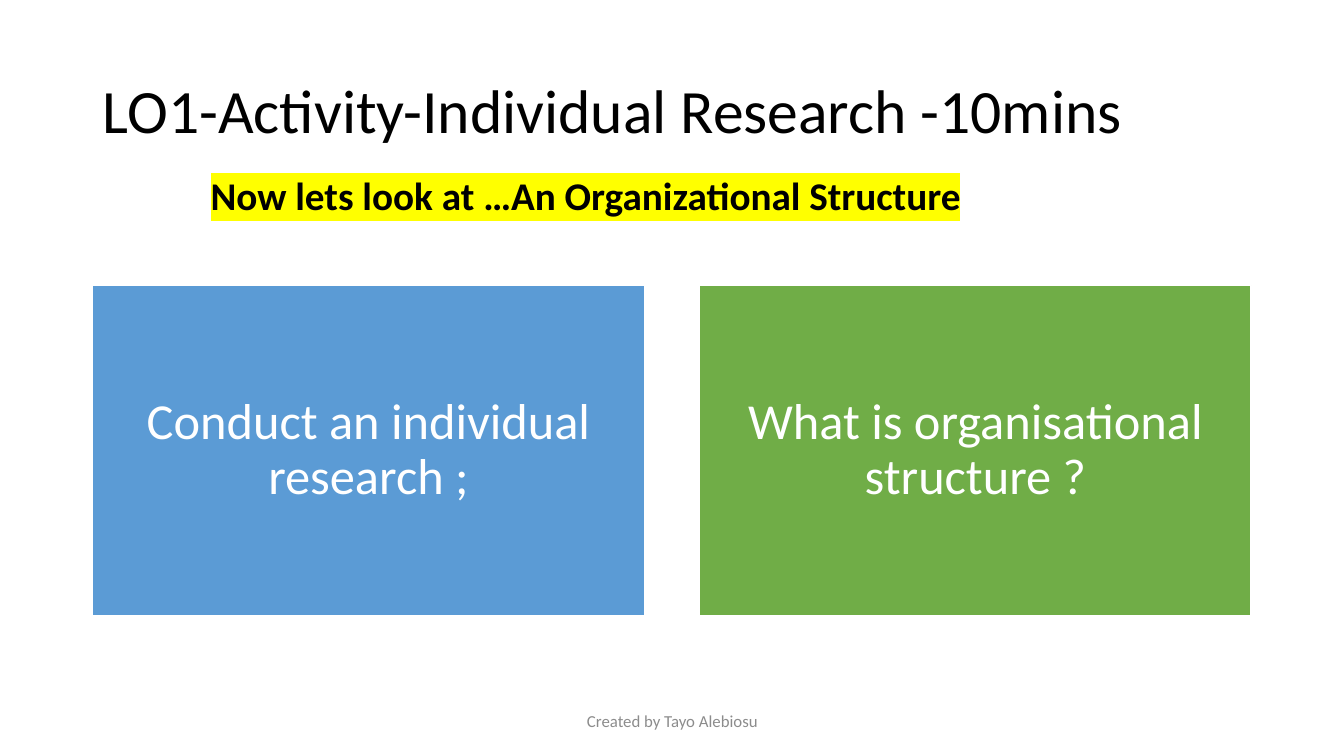
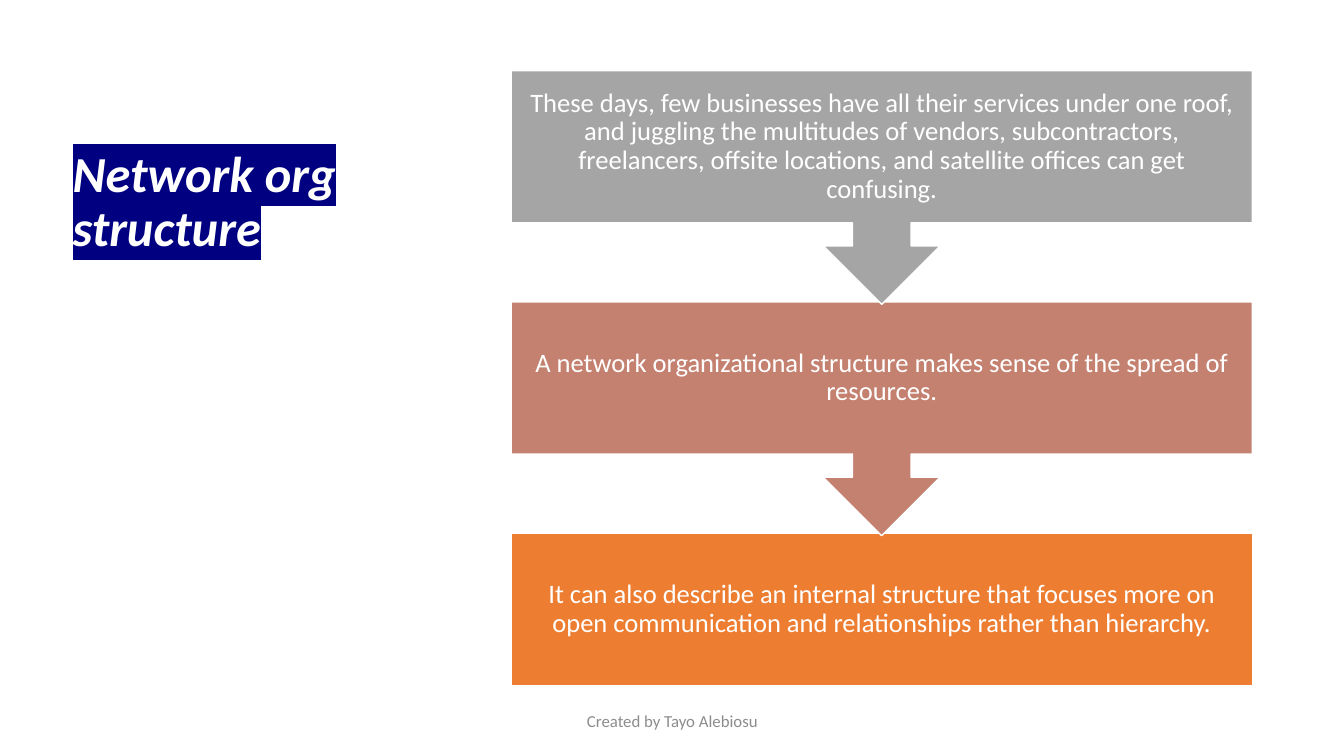
from lxml import etree
from pptx import Presentation
from pptx import util as u
from pptx.dml.color import RGBColor
from pptx.enum import shapes, text
from pptx.oxml.ns import qn

FONT = "Calibri"
BLACK = RGBColor(0x00, 0x00, 0x00)
WHITE = RGBColor(0xFF, 0xFF, 0xFF)
FOOTER_GRAY = RGBColor(0x8C, 0x8C, 0x8C)
BLUE = RGBColor(0x5B, 0x9B, 0xD5)
GREEN = RGBColor(0x70, 0xAD, 0x47)
GRAY = RGBColor(0xA5, 0xA5, 0xA5)
ROSE = RGBColor(0xC4, 0x81, 0x70)
ORANGE = RGBColor(0xED, 0x7D, 0x31)
YELLOW = RGBColor(0xFF, 0xFF, 0x00)
NAVY = RGBColor(0x00, 0x00, 0x80)

TITLE_ONLY = 5
LEFT, CENTER = text.PP_ALIGN.LEFT, text.PP_ALIGN.CENTER
MIDDLE, TOP = text.MSO_ANCHOR.MIDDLE, text.MSO_ANCHOR.TOP


def inches(box):
    return [u.Inches(length) for length in box]


def write(shape, wording, size, color, align=LEFT, anchor=MIDDLE, spacing=1.0,
          bold=False, italic=False, highlight=None, inset=None):
    """Fill a shape with one evenly formatted paragraph."""
    frame = shape.text_frame
    frame.text = wording
    frame.word_wrap = True
    frame.auto_size = text.MSO_AUTO_SIZE.NONE
    frame.vertical_anchor = anchor
    if inset is not None:
        frame.margin_left = frame.margin_right = u.Inches(inset)
        frame.margin_top = frame.margin_bottom = u.Inches(inset)
    paragraph = frame.paragraphs[0]
    paragraph.alignment = align
    paragraph.line_spacing = spacing
    font = paragraph.font
    font.name, font.size = FONT, u.Pt(size)
    font.bold, font.italic = bold, italic
    font.color.rgb = color
    if highlight is not None:
        properties = paragraph.runs[0]._r.get_or_add_rPr()
        marker = etree.SubElement(properties, qn("a:highlight"))
        etree.SubElement(marker, qn("a:srgbClr"), val=str(highlight))


def add_slide(presentation, title, box, **style):
    """Start a slide with its title and the shared footer."""
    slide = presentation.slides.add_slide(presentation.slide_layouts[TITLE_ONLY])
    placeholder = slide.shapes.title
    placeholder.left, placeholder.top, placeholder.width, placeholder.height = inches(box)
    write(placeholder, title, spacing=0.9, **style)
    footer = slide.shapes.add_textbox(*inches((4.42, 6.95, 4.5, 0.4)))
    write(footer, "Created by Tayo Alebiosu", 12, FOOTER_GRAY, CENTER)
    return slide


def add_panel(slide, preset, box, fill, wording, size):
    panel = slide.shapes.add_shape(preset, *inches(box))
    panel.shadow.inherit = False
    panel.fill.solid()
    panel.fill.fore_color.rgb = fill
    panel.line.color.rgb = WHITE
    panel.line.width = u.Pt(1)
    write(panel, wording, size, WHITE, CENTER, spacing=0.9, inset=0.15)
    return panel


def add_columns(slide, box, gap, items):
    """Equal panels side by side."""
    left, top, width, height = box
    column = (width - gap * (len(items) - 1)) / len(items)
    for index, (fill, wording) in enumerate(items):
        panel_box = (left + index * (column + gap), top, column, height)
        add_panel(slide, shapes.MSO_SHAPE.RECTANGLE, panel_box, fill, wording, 36)


def add_steps(slide, box, body, callout, items):
    """Stacked steps, each pointing to the next; the last is a plain rectangle."""
    left, top, width, height = box
    last = len(items) - 1
    pitch = (height - body) / last
    # Draw from the bottom up so each arrow tip lies over the next step
    for index in range(last, -1, -1):
        fill, wording = items[index]
        is_last = index == last
        preset = (shapes.MSO_SHAPE.RECTANGLE if is_last
                  else shapes.MSO_SHAPE.DOWN_ARROW_CALLOUT)
        step_box = (left, top + index * pitch, width, body if is_last else callout)
        step = add_panel(slide, preset, step_box, fill, wording, 19)
        if not is_last:
            step.adjustments[3] = body / callout


def build_activity(presentation):
    slide = add_slide(presentation, "LO1-Activity-Individual Research -10mins",
                      (0.92, 0.4, 11.5, 1.45), size=44, color=BLACK)
    add_columns(slide, (0.92, 2.83, 11.49, 3.28), 0.55, [
        (BLUE, "Conduct an individual research ;"),
        (GREEN, "What is organisational structure ?"),
    ])
    # Highlighted lead-in under the title
    lead = slide.shapes.add_textbox(*inches((1.99, 1.65, 8.13, 0.57)))
    write(lead, "Now lets look at …An Organizational Structure", 28, BLACK,
          anchor=TOP, bold=True, highlight=YELLOW)


def build_network(presentation):
    slide = add_slide(presentation, "Network org structure", (0.62, 0.6, 4.45, 2.83),
                      size=36, color=WHITE, bold=True, italic=True, highlight=NAVY)
    add_steps(slide, (5.07, 0.7, 7.35, 6.1), 1.51, 2.32, [
        (GRAY, "These days, few businesses have all their services under one roof, "
               "and juggling the multitudes of vendors, subcontractors, freelancers, "
               "offsite locations, and satellite offices can get confusing."),
        (ROSE, "A network organizational structure makes sense of the spread of "
               "resources."),
        (ORANGE, "It can also describe an internal structure that focuses more on "
                 "open communication and relationships rather than hierarchy."),
    ])


def main():
    presentation = Presentation()
    presentation.slide_width, presentation.slide_height = inches((13.33, 7.5))
    build_activity(presentation)
    build_network(presentation)
    presentation.save("out.pptx")


if __name__ == "__main__":
    main()
